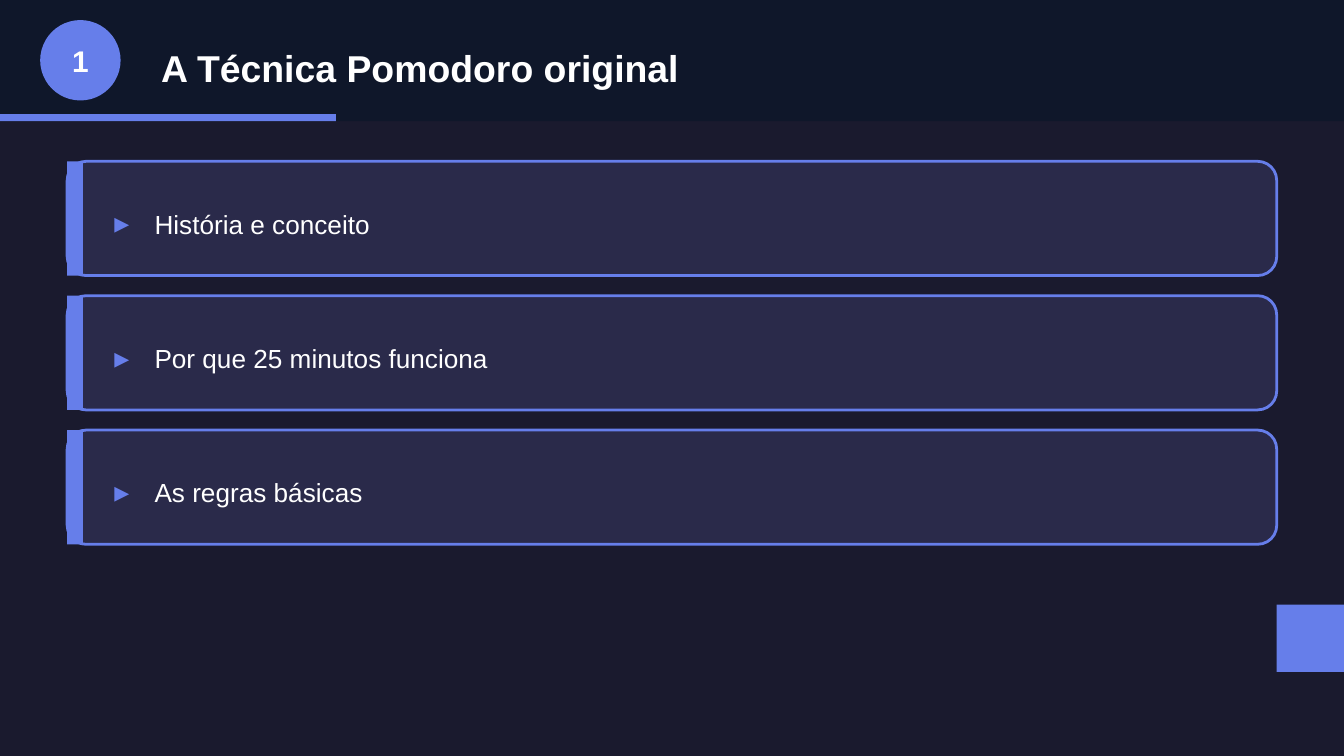
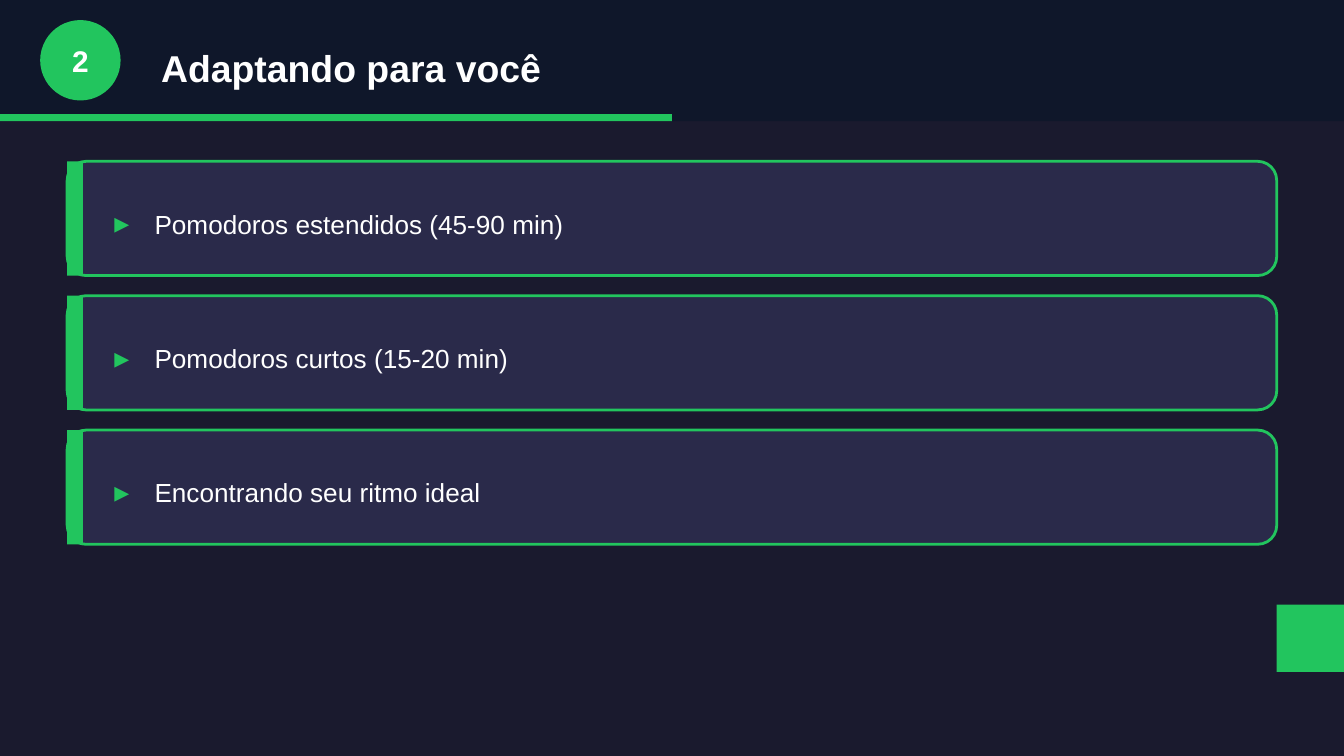
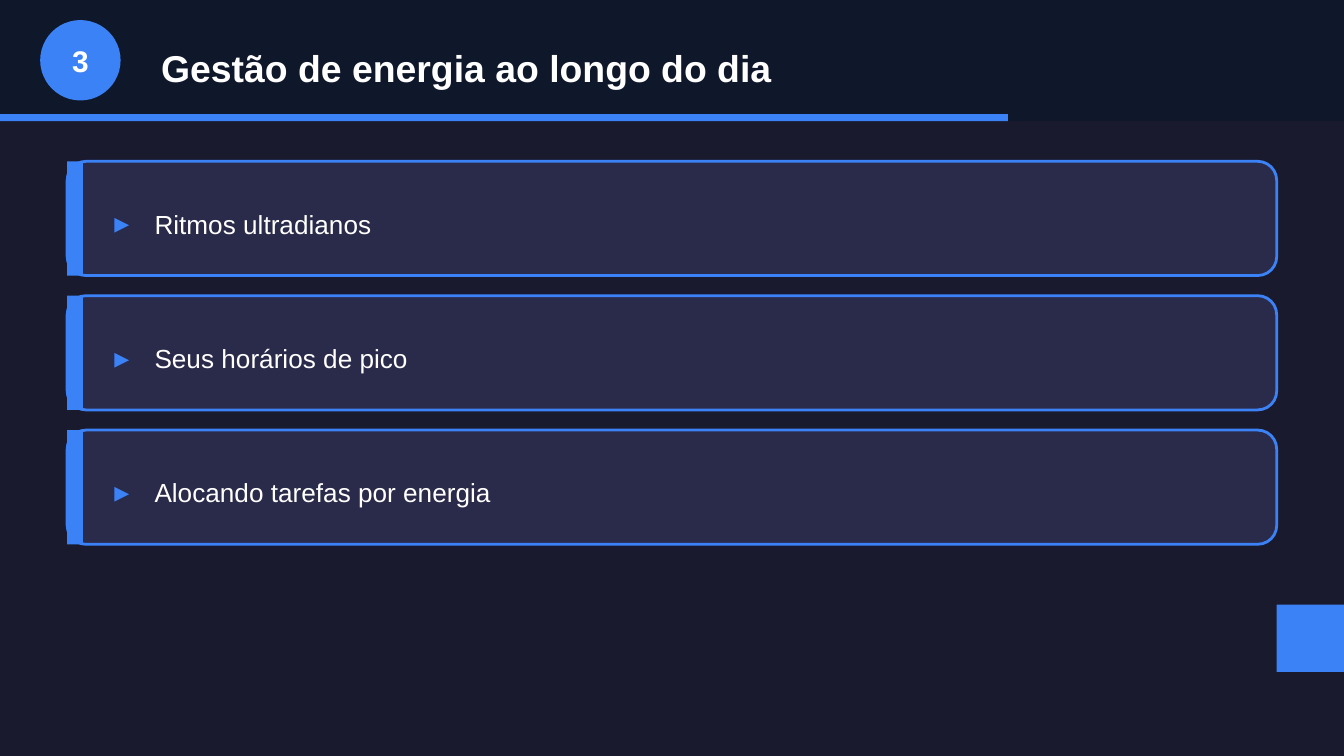
from lxml.etree import SubElement
from pptx import Presentation
from pptx.dml.color import RGBColor
from pptx.enum.shapes import MSO_SHAPE as Shape
from pptx.enum.text import MSO_ANCHOR as Anchor, MSO_AUTO_SIZE as AutoSize, PP_ALIGN as Align
from pptx.oxml.ns import qn
from pptx.util import Cm, Pt

NIGHT = RGBColor(0x1A, 0x1A, 0x2E)
NAVY = RGBColor(0x0F, 0x17, 0x2A)
CARD = RGBColor(0x2A, 0x2A, 0x4A)
WHITE = RGBColor(0xFF, 0xFF, 0xFF)
INDIGO = RGBColor(0x66, 0x7E, 0xEA)
GREEN = RGBColor(0x22, 0xC5, 0x5E)
BLUE = RGBColor(0x3B, 0x82, 0xF6)

FONT = "Arial"
PROGRESS_STEP = 6.35
CARD_LEFT, CARD_TOP, CARD_PITCH = 1.27, 3.05, 2.54
CARD_WIDTH, CARD_HEIGHT = 22.86, 2.16
LINE_HEIGHT = Pt(18)

SECTIONS = [
    ("A Técnica Pomodoro original", INDIGO,
     ["História e conceito", "Por que 25 minutos funciona", "As regras básicas"]),
    ("Adaptando para você", GREEN,
     ["Pomodoros estendidos (45-90 min)", "Pomodoros curtos (15-20 min)",
      "Encontrando seu ritmo ideal"]),
    ("Gestão de energia ao longo do dia", BLUE,
     ["Ritmos ultradianos", "Seus horários de pico", "Alocando tarefas por energia"]),
]


def add_block(slide, kind, left, top, width, height, fill, line=None):
    """Add a filled preset shape, measured in centimetres."""
    block = slide.shapes.add_shape(kind, Cm(left), Cm(top), Cm(width), Cm(height))
    block.shadow.inherit = False
    block.fill.solid()
    block.fill.fore_color.rgb = fill
    if line is None:
        block.line.fill.background()
    else:
        block.line.color.rgb = line
        block.line.width = Pt(1.5)
    return block


def write_text(paragraph, text, size=14, bold=False, align=Align.LEFT, bullet=None):
    """Write white text; bullet is the colour of an optional arrow marker."""
    paragraph.alignment = align
    if bullet is not None:
        properties = paragraph._p.get_or_add_pPr()
        properties.set("marL", str(Cm(0.76)))
        properties.set("indent", str(-Cm(0.76)))
        marker_color = SubElement(properties, qn("a:buClr"))
        SubElement(marker_color, qn("a:srgbClr"), val=str(bullet))
        SubElement(properties, qn("a:buSzPct"), val="114000")
        SubElement(properties, qn("a:buFont"), typeface=FONT)
        SubElement(properties, qn("a:buChar"), char="▸")
    run = paragraph.add_run()
    run.text = text
    run.font.name = FONT
    run.font.size = Pt(size)
    run.font.bold = bold
    run.font.color.rgb = WHITE


prs = Presentation()
prs.slide_width, prs.slide_height = Cm(25.4), Cm(14.29)

background = prs.slide_master.background.fill
background.solid()
background.fore_color.rgb = NIGHT

layout = prs.slide_layouts[1]
places = [(2.79, 0.64, 21.59, 1.27), (2.16, 3.89, 21.08, 6.1)]
for holder, (left, top, width, height) in zip(layout.placeholders, places):
    holder.left, holder.top = Cm(left), Cm(top)
    holder.width, holder.height = Cm(width), Cm(height)

for number, (heading, accent, topics) in enumerate(SECTIONS, start=1):
    slide = prs.slides.add_slide(layout)

    add_block(slide, Shape.RECTANGLE, 0, 0, 25.4, 2.29, NAVY)
    add_block(slide, Shape.RECTANGLE, 0, 2.16, PROGRESS_STEP * number, 0.13, accent)
    badge = add_block(slide, Shape.OVAL, 0.76, 0.38, 1.52, 1.52, accent)
    write_text(badge.text_frame.paragraphs[0], str(number),
               size=16, bold=True, align=Align.CENTER)

    for row in range(len(topics)):
        top = CARD_TOP + row * CARD_PITCH
        add_block(slide, Shape.ROUNDED_RECTANGLE, CARD_LEFT, top,
                  CARD_WIDTH, CARD_HEIGHT, CARD, line=accent)
        add_block(slide, Shape.RECTANGLE, CARD_LEFT, top, 0.3, CARD_HEIGHT, accent)
    add_block(slide, Shape.RECTANGLE, 24.13, 11.43, 1.27, 1.27, accent)

    title, topic_list = slide.shapes.title, slide.placeholders[1]
    for holder in (title, topic_list):
        # Bring the text in front of the band and the cards.
        holder.element.getparent().append(holder.element)
        holder.text_frame.auto_size = AutoSize.NONE
        holder.text_frame.word_wrap = True

    title.text_frame.vertical_anchor = Anchor.MIDDLE
    write_text(title.text_frame.paragraphs[0], heading, size=20, bold=True)

    frame = topic_list.text_frame
    frame.vertical_anchor = Anchor.TOP
    frame.margin_left = frame.margin_right = frame.margin_top = frame.margin_bottom = 0
    for row, topic in enumerate(topics):
        paragraph = frame.add_paragraph() if row else frame.paragraphs[0]
        write_text(paragraph, topic, bullet=accent)
        paragraph.line_spacing = LINE_HEIGHT
        paragraph.space_before = Pt(0)
        paragraph.space_after = Cm(CARD_PITCH) - LINE_HEIGHT

prs.save("out.pptx")
